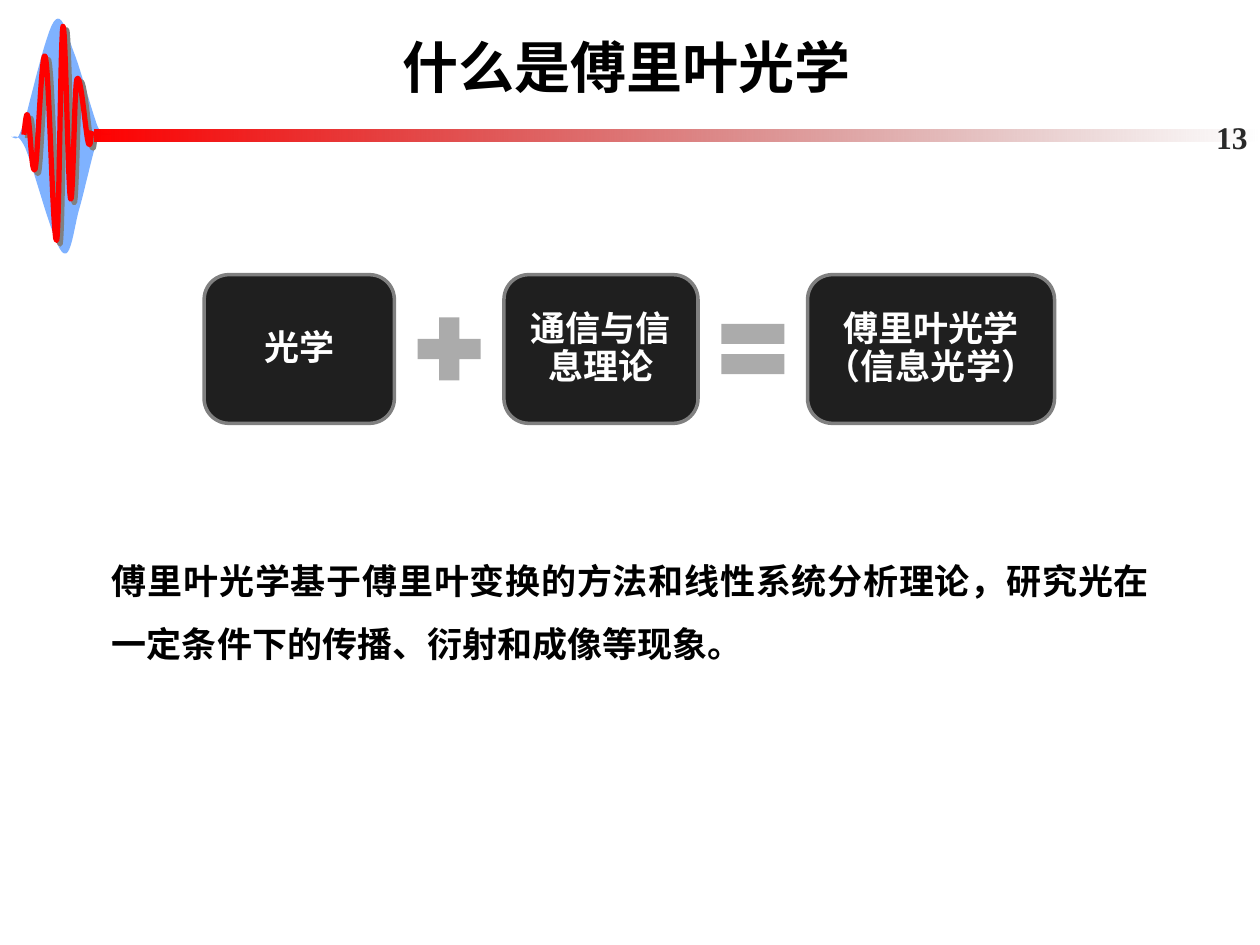
"""Build the slide that introduces Fourier optics as optics plus information theory."""
from lxml.etree import SubElement
from pptx import Presentation
from pptx.dml.color import RGBColor
from pptx.enum.shapes import MSO_SHAPE as Preset
from pptx.enum.text import MSO_ANCHOR as Anchor, PP_ALIGN as Align
from pptx.oxml.ns import qn
from pptx.util import Inches, Pt

THEME = {
    "latin": "Times New Roman", "cjk": "Noto Sans CJK SC",
    "title": 32, "body": 20, "number": 18,
    "black": RGBColor(0, 0, 0), "white": RGBColor(255, 255, 255),
    "ink": RGBColor(0x29, 0x29, 0x29), "box": RGBColor(0x1F, 0x1F, 0x1F),
    "edge": RGBColor(0x80, 0x80, 0x80), "sign": RGBColor(0xAB, 0xAB, 0xAB),
    "red": RGBColor(255, 0, 0), "dark_red": RGBColor(0x76, 0, 0),
    "blue": RGBColor(0, 0x66, 0xFF),
}

presentation = Presentation()
presentation.slide_width, presentation.slide_height = Inches(10), Inches(7.5)
column = presentation.slide_width / 100
row = presentation.slide_height / 75
slide = presentation.slides.add_slide(presentation.slide_layouts[6])
shapes = slide.shapes


def write(shape, text, size, color, align, inset=(1, 0.5), font="latin", **spacing):
    frame = shape.text_frame
    side, edge = int(inset[0] * column), int(inset[1] * row)
    frame_format = {
        "word_wrap": True, "margin_left": side, "margin_right": side,
        "margin_top": edge, "margin_bottom": edge,
        "vertical_anchor": Anchor.MIDDLE,
    }
    for name, value in frame_format.items():
        setattr(frame, name, value)
    paragraph = frame.paragraphs[0]
    paragraph.alignment = align
    for name, value in spacing.items():
        setattr(paragraph, name, value)
    run = paragraph.add_run()
    run.text = text
    for name, value in {"size": Pt(THEME[size]), "bold": True, "name": THEME[font]}.items():
        setattr(run.font, name, value)
    run.font.color.rgb = THEME[color]
    SubElement(run.font._element, qn("a:ea"), typeface=THEME["cjk"])


def draw_curve(start, segments, close):
    points = []
    for x1, y1, x2, y2, x3, y3 in segments:
        knots = [start, (x1, y1), (x2, y2), (x3, y3)]
        for step in range(1, 13):
            t = step / 12
            weights = [(1 - t) ** 3, 3 * t * (1 - t) ** 2, 3 * t * t * (1 - t), t ** 3]
            points.append(tuple(
                Inches(sum(w * knot[axis] for w, knot in zip(weights, knots)))
                for axis in (0, 1)))
        if len(points) == 12:
            first = start
        start = (x3, y3)
    builder = shapes.build_freeform(Inches(first[0]), Inches(first[1]), scale=1.0)
    builder.add_line_segments(points, close=close)
    shape = builder.convert_to_shape()
    shape.shadow.inherit = False
    return shape


envelope = draw_curve((0.09, 1.07), [
    (0.08, 1.06, 0.12, 1.1, 0.14, 1.08), (0.15, 1.06, 0.14, 1.1, 0.2, 0.95),
    (0.25, 0.8, 0.39, 0.26, 0.46, 0.17), (0.53, 0.08, 0.56, 0.28, 0.61, 0.42),
    (0.66, 0.56, 0.74, 0.91, 0.78, 1.02), (0.83, 1.13, 0.88, 1.06, 0.88, 1.08),
    (0.88, 1.1, 0.82, 1.03, 0.77, 1.13), (0.73, 1.22, 0.66, 1.51, 0.61, 1.66),
    (0.56, 1.81, 0.53, 2.08, 0.46, 2), (0.39, 1.92, 0.26, 1.33, 0.2, 1.17),
    (0.14, 1.02, 0.1, 1.09, 0.09, 1.07)], True)
envelope.rotation = 358
envelope.fill.solid()
envelope.fill.fore_color.rgb = THEME["blue"]
envelope.line.fill.background()
envelope_color = envelope._element.spPr.find(".//" + qn("a:srgbClr"))
SubElement(envelope_color, qn("a:alpha"), val="50000")

wave = draw_curve((0.19, 1.07), [
    (0.2, 0.98, 0.21, 0.88, 0.22, 0.92), (0.24, 0.97, 0.25, 1.42, 0.28, 1.34),
    (0.3, 1.26, 0.33, 0.35, 0.36, 0.45), (0.39, 0.54, 0.42, 1.95, 0.45, 1.91),
    (0.47, 1.87, 0.48, 0.26, 0.5, 0.21), (0.52, 0.15, 0.54, 1.51, 0.56, 1.58),
    (0.58, 1.65, 0.59, 0.7, 0.61, 0.63), (0.64, 0.55, 0.68, 1.06, 0.7, 1.13),
    (0.72, 1.2, 0.72, 1.06, 0.73, 1.04)], False)
wave.fill.background()
wave.line.color.rgb = THEME["red"]
wave.line.width = Pt(3)
SubElement(wave._element.spPr.find(qn("a:ln")), qn("a:round"))
shadow = SubElement(wave._element.spPr.find(qn("a:effectLst")), qn("a:outerShdw"),
                    dist=str(Pt(2.8)), dir="2700000", algn="ctr", rotWithShape="0")
SubElement(shadow, qn("a:srgbClr"), val=str(THEME["edge"]))

rule = shapes.add_shape(Preset.RECTANGLE, int(7.5 * column), int(10.3 * row),
                        int(92.5 * column), int(0.9 * row))
rule.shadow.inherit = False
rule.line.fill.background()
rule.fill.gradient()
rule.fill.gradient_angle = 0
for stop, color, position in zip(rule.fill.gradient_stops, ("red", "dark_red"), (0, 1)):
    stop.color.rgb = THEME[color]
    stop.position = position
SubElement(rule._element.spPr.findall(".//" + qn("a:srgbClr"))[-1], qn("a:alpha"), val="0")

labels = [
    (10.6, 1.3, 78.3, 7.9, "什么是傅里叶光学",
     {"size": "title", "color": "black", "align": Align.CENTER, "font": "cjk"}),
    (91.3, 9.7, 8.7, 2.4, "13", {"size": "number", "color": "ink", "align": Align.RIGHT}),
    (7.9, 42.5, 84.3, 10.5,
     "傅里叶光学基于傅里叶变换的方法和线性系统分析理论，研究光在一定条件下的传播、衍射和成像等现象。",
     {"size": "body", "color": "black", "align": Align.JUSTIFY, "line_spacing": 1.5}),
]
for left, top, width, height, text, style in labels:
    label = shapes.add_textbox(int(left * column), int(top * row),
                               int(width * column), int(height * row))
    write(label, text, **style)

left, gap, middle = 16.2, 0.95, 27.7
equation = [
    (Preset.ROUNDED_RECTANGLE, 15.1, 11.8, "光学"),
    (Preset.MATH_PLUS, 6.8, 6.8, ""),
    (Preset.ROUNDED_RECTANGLE, 15.4, 11.8, "通信与信息理论"),
    (Preset.MATH_EQUAL, 6.8, 6.8, ""),
    (Preset.ROUNDED_RECTANGLE, 19.6, 11.8, "傅里叶光学（信息光学）"),
]
for preset, width, height, text in equation:
    term = shapes.add_shape(preset, int(left * column), int((middle - height / 2) * row),
                            int(width * column), int(height * row))
    term.shadow.inherit = False
    term.fill.solid()
    term.fill.fore_color.rgb = THEME["box" if text else "sign"]
    if text:
        term.line.color.rgb = THEME["edge"]
        term.line.width = Pt(2)
        write(term, text, "body", "white", Align.CENTER, inset=(0.3, 0.3), line_spacing=0.9)
    else:
        term.line.fill.background()
    left += width + gap

presentation.save("out.pptx")
